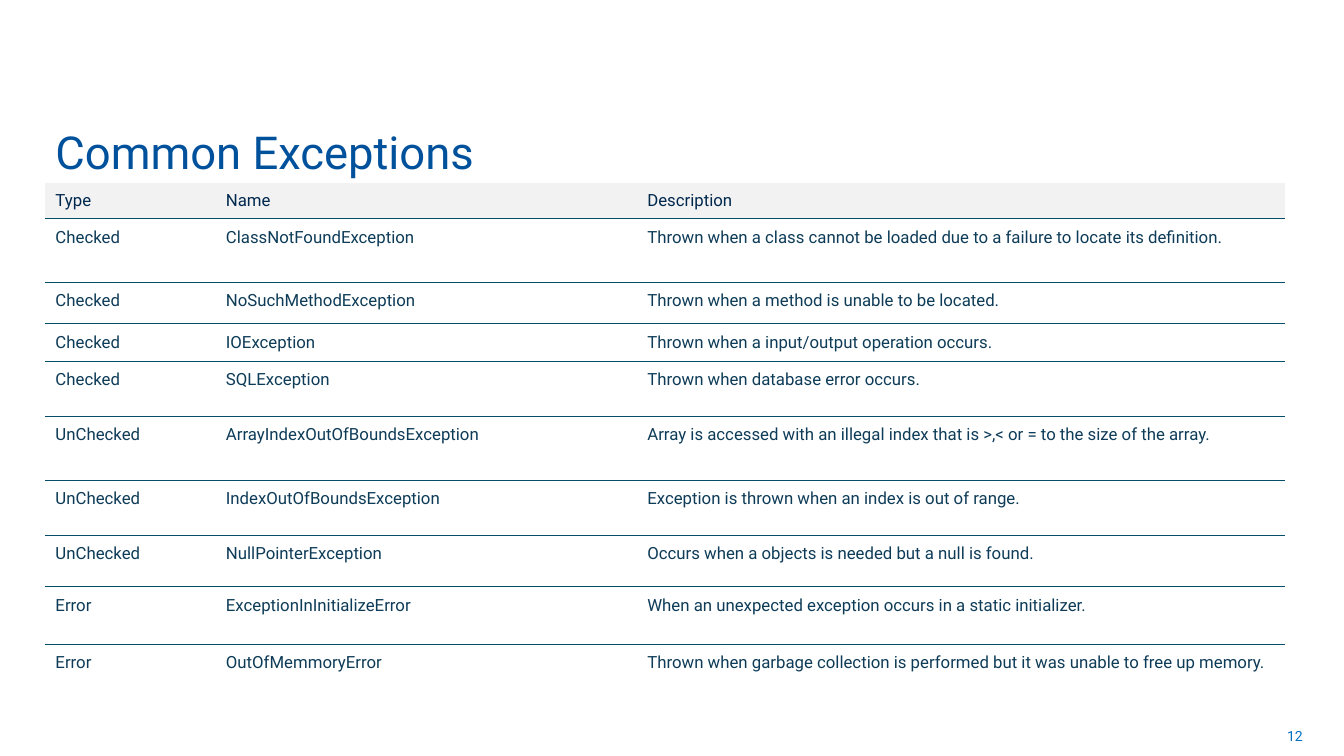
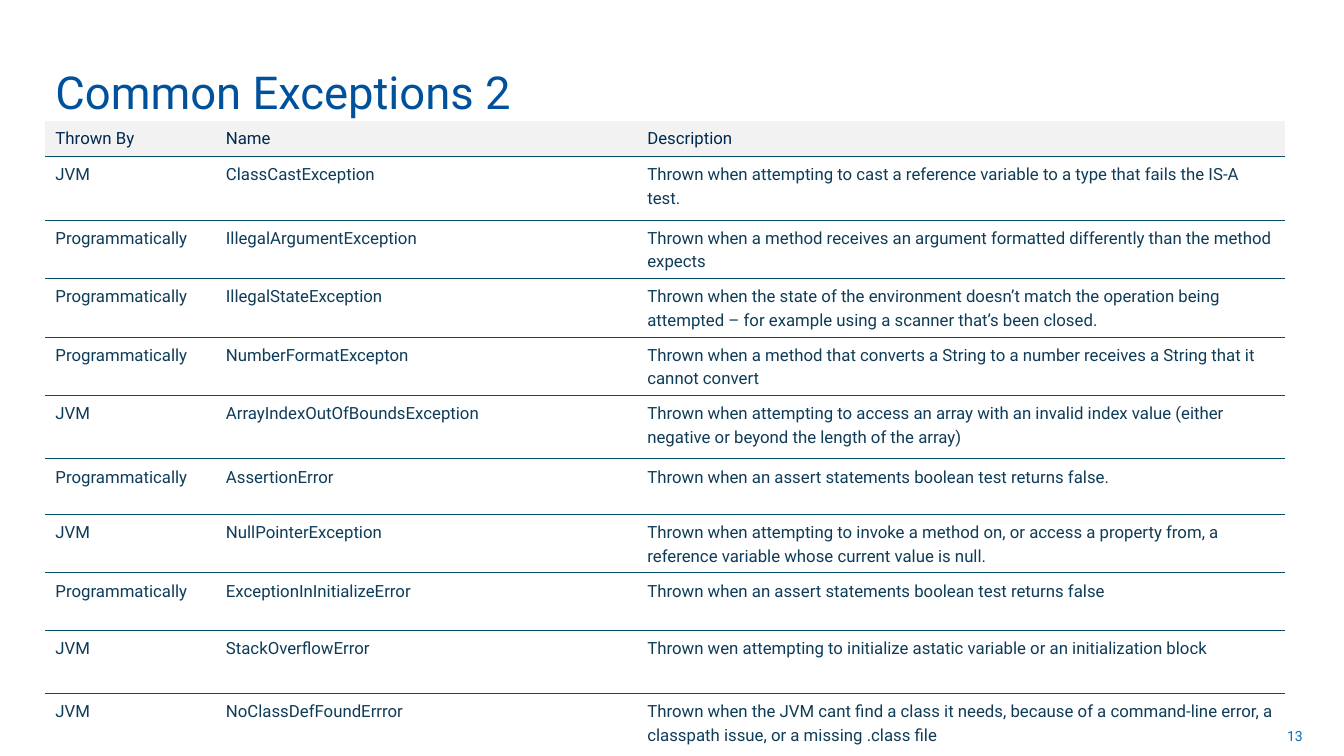
from lxml import etree
from pptx import Presentation
from pptx import util as u
from pptx.dml.color import RGBColor
from pptx.enum import text
from pptx.oxml import ns

# Shared look
FONT = "Roboto"
TITLE_BLUE = RGBColor(0x00, 0x51, 0x9C)
NUMBER_BLUE = RGBColor(0x00, 0x70, 0xC0)
HEADER_NAVY = RGBColor(0x00, 0x28, 0x4E)
BODY_NAVY = RGBColor(0x0E, 0x3C, 0x58)
RULE_TEAL = RGBColor(0x03, 0x4D, 0x68)
HEADER_GREY = RGBColor(0xF2, 0xF2, 0xF2)
PLAIN_TABLE = "{2D5ABB26-0587-4C30-8999-92F81FD0307C}"
HEADER_RULE, BODY_RULE = u.Pt(0.75), u.Pt(0.25)

# Shared grid, in percent of the slide's width and height
SLIDE_WIDTH, SLIDE_HEIGHT = u.Inches(13.33), u.Inches(7.5)
PERCENT_X, PERCENT_Y = SLIDE_WIDTH / 100, SLIDE_HEIGHT / 100
LEFT = int(3.38 * PERCENT_X)
COLUMNS = [12.68, 31.36, 48.16]
ROWS = [4.67, 8.4, 5.47, 4.93, 7.33, 8.4, 7.33, 6.8, 7.6, 8.4, 8.4]

# Per slide: number, title top, table top, title, table rows
SLIDES = [
    (12, 15.07, 24.27, "Common Exceptions", [
        ("Type", "Name", "Description"),
        ("Checked", "ClassNotFoundException",
         "Thrown when a class cannot be loaded due to a failure to locate its definition."),
        ("Checked", "NoSuchMethodException",
         "Thrown when a method is unable to be located."),
        ("Checked", "IOException",
         "Thrown when a input/output operation occurs."),
        ("Checked", "SQLException",
         "Thrown when database error occurs."),
        ("UnChecked", "ArrayIndexOutOfBoundsException",
         "Array is accessed with an illegal index that is >,< or = to the size of the array."),
        ("UnChecked", "IndexOutOfBoundsException",
         "Exception is thrown when an index is out of range."),
        ("UnChecked", "NullPointerException",
         "Occurs when a objects is needed but a null is found."),
        ("Error", "ExceptionInInitializeError",
         "When an unexpected exception occurs in a static initializer."),
        ("Error", "OutOfMemmoryError",
         "Thrown when garbage collection is performed but it was unable to free up memory."),
    ]),
    (13, 7.2, 16, "Common Exceptions 2", [
        ("Thrown By", "Name", "Description"),
        ("JVM", "ClassCastException",
         "Thrown when attempting to cast a reference variable to a type that fails "
         "the IS-A test."),
        ("Programmatically", "IllegalArgumentException",
         "Thrown when a method receives an argument formatted differently than the "
         "method expects"),
        ("Programmatically", "IllegalStateException",
         "Thrown when the state of the environment doesn’t match the operation being "
         "attempted – for example using a scanner that’s been closed."),
        ("Programmatically", "NumberFormatExcepton",
         "Thrown when a method that converts a String to a number receives a String "
         "that it cannot convert"),
        ("JVM", "ArrayIndexOutOfBoundsException",
         "Thrown when attempting to access an array with an invalid index value "
         "(either negative or beyond the length of the array)"),
        ("Programmatically", "AssertionError",
         "Thrown when an assert statements boolean test returns false."),
        ("JVM", "NullPointerException",
         "Thrown when attempting to invoke a method on, or access a property from, a "
         "reference variable whose current value is null."),
        ("Programmatically", "ExceptionInInitializeError",
         "Thrown when an assert statements boolean test returns false"),
        ("JVM", "StackOverflowError",
         "Thrown wen attempting to initialize astatic variable or an initialization block"),
        ("JVM", "NoClassDefFoundErrror",
         "Thrown when the JVM cant find a class it needs, because of a command-line "
         "error, a classpath issue, or a missing .class file"),
    ]),
]


def write(frame, words, size, color, align=text.PP_ALIGN.LEFT):
    paragraph = frame.paragraphs[0]
    paragraph.alignment = align
    run = paragraph.add_run()
    run.text = words
    run.font.name, run.font.size = FONT, u.Pt(size)
    run.font.color.rgb = color
    return paragraph


def add_rule(cell, side, width):
    properties = cell._tc.get_or_add_tcPr()
    line = etree.SubElement(properties, ns.qn("a:" + side), w=str(width))
    fill = etree.SubElement(line, ns.qn("a:solidFill"))
    etree.SubElement(fill, ns.qn("a:srgbClr"), val=str(RULE_TEAL))


presentation = Presentation()
presentation.slide_width, presentation.slide_height = SLIDE_WIDTH, SLIDE_HEIGHT
title_only = presentation.slide_layouts[5]

for number, title_top, table_top, heading, records in SLIDES:
    slide = presentation.slides.add_slide(title_only)

    # Title
    title = slide.shapes.title
    title.left, title.top = LEFT, int(title_top * PERCENT_Y)
    title.width, title.height = int(74.87 * PERCENT_X), int(9.2 * PERCENT_Y)
    title.text_frame.auto_size = text.MSO_AUTO_SIZE.NONE
    title.text_frame.vertical_anchor = text.MSO_ANCHOR.BOTTOM
    write(title.text_frame, heading, 32.4, TITLE_BLUE)

    # Slide number
    box = slide.shapes.add_textbox(
        int(74.34 * PERCENT_X), int(94.67 * PERCENT_Y),
        int(23.33 * PERCENT_X), int(5.33 * PERCENT_Y))
    box.text_frame.word_wrap = True
    box.text_frame.vertical_anchor = text.MSO_ANCHOR.MIDDLE
    write(box.text_frame, str(number), 10, NUMBER_BLUE, text.PP_ALIGN.RIGHT)

    # Table grid
    heights = ROWS[:len(records)]
    frame = slide.shapes.add_table(
        len(records), len(COLUMNS), LEFT, int(table_top * PERCENT_Y),
        int(sum(COLUMNS) * PERCENT_X), int(sum(heights) * PERCENT_Y))
    table = frame.table
    table._tbl.tblPr.find(ns.qn("a:tableStyleId")).text = PLAIN_TABLE
    table.horz_banding = False
    for column, width in zip(table.columns, COLUMNS):
        column.width = int(width * PERCENT_X)
    for row, height in zip(table.rows, heights):
        row.height = int(height * PERCENT_Y)

    # Table cells: a rule between each pair of rows, heavier under the header
    for r, record in enumerate(records):
        for c, words in enumerate(record):
            cell = table.cell(r, c)
            if r > 0:
                add_rule(cell, "lnT", HEADER_RULE if r == 1 else BODY_RULE)
            if r < len(records) - 1:
                add_rule(cell, "lnB", HEADER_RULE if r == 0 else BODY_RULE)
            if r == 0:
                cell.fill.solid()
                cell.fill.fore_color.rgb = HEADER_GREY
                cell.vertical_anchor = text.MSO_ANCHOR.MIDDLE
                write(cell.text_frame, words, 12, HEADER_NAVY)
            else:
                cell.fill.background()
                write(cell.text_frame, words, 12, BODY_NAVY).line_spacing = 1.2

presentation.save("out.pptx")
